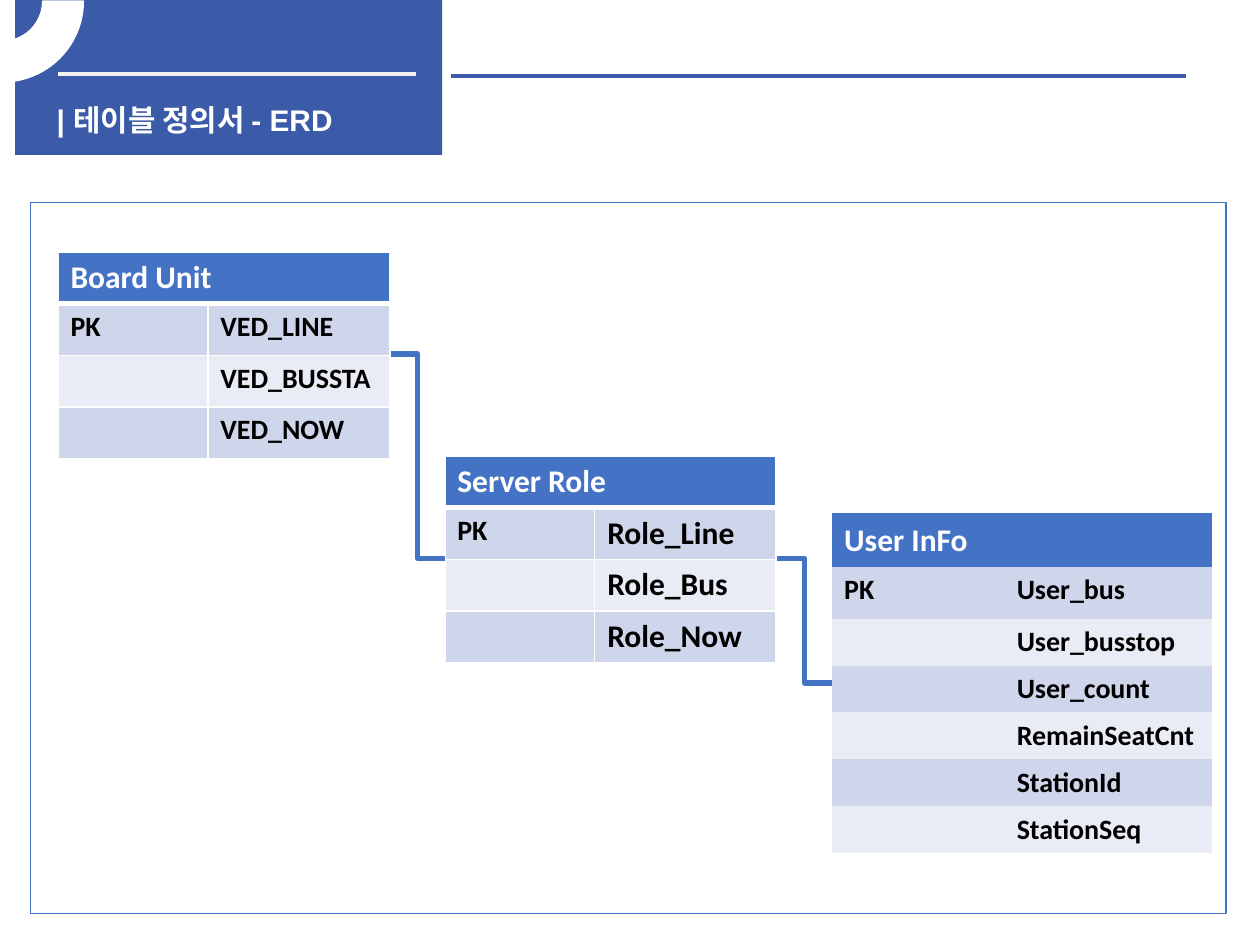
"""Builds the ERD slide of a table definition document."""
from dataclasses import dataclass

from lxml import etree
from pptx import Presentation
from pptx import util as u
from pptx.dml.color import RGBColor
from pptx.enum import shapes, text
from pptx.oxml.ns import qn

PX = 9144
NO_GRID = "{2D5ABB26-0587-4C30-8999-92F81FD0307C}"


@dataclass(frozen=True)
class Theme:
    banner: str = "3B5AA8"
    accent: str = "4472C4"
    rule: str = "F2F2F2"
    white: str = "FFFFFF"
    black: str = "000000"
    bands: tuple = ("CFD5EA", "E9EBF5")
    title_font: str = "Arial"
    body_font: str = "Calibri"
    title: int = 17
    head: int = 18
    body: int = 16


T = Theme()


def px(*values):
    return [u.Emu(v * PX) for v in values]


def rgb(color):
    return RGBColor.from_string(color)


def write(tf, content, size, color, font=T.body_font):
    p = tf.paragraphs[0]
    p.alignment = text.PP_ALIGN.LEFT
    if not content:
        etree.SubElement(p._p, qn("a:endParaRPr"), sz=str(size * 100))
        return
    r = p.add_run()
    r.text = content
    r.font.name, r.font.size, r.font.bold = font, u.Pt(size), True
    r.font.color.rgb = rgb(color)


def add_shape(s, kind, box, fill=None, line=None, width=1):
    sp = s.shapes.add_shape(kind, *px(*box))
    sp.shadow.inherit = False
    if fill:
        sp.fill.solid()
        sp.fill.fore_color.rgb = rgb(fill)
    else:
        sp.fill.background()
    if line:
        sp.line.color.rgb = rgb(line)
        sp.line.width = u.Pt(width)
    else:
        sp.line.fill.background()
    return sp


def add_line(s, ends, color, width, kind=shapes.MSO_CONNECTOR.STRAIGHT):
    cx = s.shapes.add_connector(kind, *px(*ends))
    cx.line.color.rgb = rgb(color)
    cx.line.width = u.Pt(width)
    etree.SubElement(cx._element.spPr, qn("a:effectLst"))


def set_title(s, content, box):
    sp = s.shapes.title
    sp.left, sp.top, sp.width, sp.height = px(*box)
    tf = sp.text_frame
    tf.word_wrap = True
    tf.auto_size = text.MSO_AUTO_SIZE.NONE
    tf.vertical_anchor = text.MSO_ANCHOR.TOP
    write(tf, content, T.title, T.white, T.title_font)
    s.shapes._spTree.append(sp._element)


def set_borders(cell, **widths):
    tcPr = cell._tc.get_or_add_tcPr()
    for i, side in enumerate("LRTB"):
        ln = etree.Element(qn(f"a:ln{side}"), w=str(u.Pt(widths.get(side, 1))))
        fill = etree.SubElement(ln, qn("a:solidFill"))
        etree.SubElement(fill, qn("a:srgbClr"), val=T.white)
        tcPr.insert(i, ln)


def add_entity(s, name, fields, at, cols, heights, size=T.body, grid=True):
    """Draw one entity: a merged heading over a key column and a field column."""
    rows = len(fields) + 1
    frame = s.shapes.add_table(rows, 2, *px(*at, sum(cols), sum(heights)))
    table = frame.table
    table._tbl.tblPr.find(qn("a:tableStyleId")).text = NO_GRID
    for col, width in zip(table.columns, px(*cols)):
        col.width = width
    for row, height in zip(table.rows, px(*heights)):
        row.height = height
    table.cell(0, 0).merge(table.cell(0, 1))
    write(table.cell(0, 0).text_frame, name, T.head, T.white)
    for i, field in enumerate(fields, 1):
        write(table.cell(i, 0).text_frame, "PK" if i == 1 else "", T.body, T.black)
        write(table.cell(i, 1).text_frame, field, size, T.black)
    for i in range(rows):
        for cell in table.rows[i].cells:
            cell.fill.solid()
            cell.fill.fore_color.rgb = rgb(T.bands[(i - 1) % 2] if i else T.accent)
            if grid:
                set_borders(cell, T=3 if i == 1 else 1, B=1 if i else 3)


def main():
    prs = Presentation()
    prs.slide_width, prs.slide_height = px(1000, 750)
    s = prs.slides.add_slide(prs.slide_layouts[5])
    kind = shapes.MSO_SHAPE
    elbow = shapes.MSO_CONNECTOR.ELBOW

    add_shape(s, kind.RECTANGLE, (12, 0, 339, 123), T.banner)
    add_line(s, (46, 59, 330, 59), T.rule, 2.25)
    add_line(s, (358, 60, 941, 60), T.banner, 2.25)
    set_title(s, "| 테이블 정의서 - ERD", (35, 76, 315, 32))
    arc = add_shape(s, kind.BLOCK_ARC, (-63, -63, 129, 128), T.white, T.white)
    for i, value in enumerate((161.59, 0, 0.25)):
        arc.adjustments[i] = value
    arc._element.spPr.get_or_add_xfrm().set("flipV", "1")
    add_shape(s, kind.RECTANGLE, (24, 161, 949, 564), line=T.accent, width=0.75)

    small = dict(cols=(119, 144), heights=[41] * 4)
    add_entity(s, "Board Unit", ("VED_LINE", "VED_BUSSTA", "VED_NOW"), (46, 200), **small)
    add_entity(s, "Server Role", ("Role_Line", "Role_Bus", "Role_Now"), (353, 362),
               size=T.head, **small)
    add_entity(s, "User InFo",
               ("User_bus", "User_busstop", "User_count", "RemainSeatCnt", "StationId", "StationSeq"),
               (660, 409), (137, 165), [41] * 2 + [37] * 5, grid=False)

    add_line(s, (617, 443, 660, 542), T.accent, 3, elbow)
    add_line(s, (310, 281, 353, 443), T.accent, 3, elbow)
    add_line(s, (660, 409, 962, 409), T.accent, 3)
    prs.save("out.pptx")


if __name__ == "__main__":
    main()
